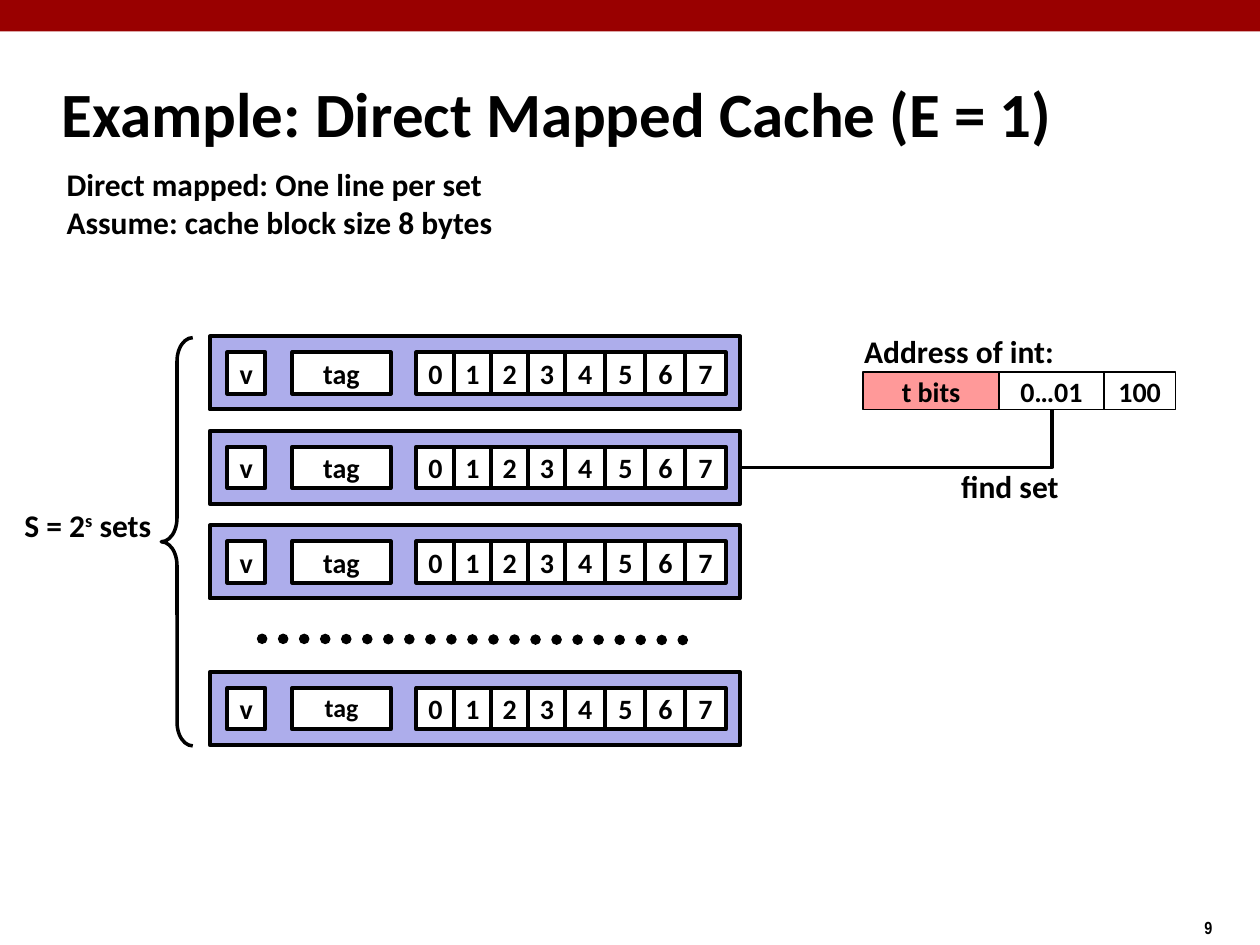
from typing import NamedTuple

from lxml.etree import SubElement
from pptx import Presentation
from pptx.dml.color import RGBColor
from pptx.enum.dml import MSO_LINE
from pptx.enum.shapes import MSO_CONNECTOR, MSO_SHAPE
from pptx.enum.text import MSO_ANCHOR, MSO_AUTO_SIZE, PP_ALIGN
from pptx.oxml.ns import qn
from pptx.util import Inches, Pt

# The slide is a grid of 100 columns by 75 rows; all areas use these units.
WIDTH, HEIGHT = Inches(10), Inches(7.5)
COLUMN, ROW = WIDTH / 100, HEIGHT / 75

BLACK, WHITE = "000000", "FFFFFF"
BANNER_RED, SET_BLUE, TAG_PINK = "990000", "ADADEB", "FF9999"
BODY_FONT, NUMBER_FONT = "Calibri", "Arial Narrow"

SET_LEFT, SET_WIDTH, SET_HEIGHT = 16.65, 42.1, 5.8
FIELD_INSET, FIELD_HEIGHT = 1.25, 3.3


class Area(NamedTuple):
    left: float
    top: float
    width: float
    height: float


class Span(NamedTuple):
    text: str
    superscript: bool = False


class Label(NamedTuple):
    area: Area
    paragraphs: list[list[Span]]
    size: float = 18
    font: str = BODY_FONT


class Field(NamedTuple):
    text: str
    left: float
    width: float
    fill: str = WHITE


class CacheSet(NamedTuple):
    top: float
    tag_size: float = 16
    tag_spacing: float = 1.0


ADDRESS_TOP, ADDRESS_HEIGHT = 29.55, 2.95
ADDRESS_FIELDS = [
    Field("t bits", 68.5, 10.8, TAG_PINK),
    Field("0…01", 79.3, 8.3),
    Field("100", 87.6, 5.7),
]
LINE_FIELDS = [
    Field("v", 18.05, 3),
    Field("tag", 23.2, 7.8),
    *[Field(str(i), 33.05 + 2.95 * i, 3) for i in range(4)],
    *[Field(str(i), 44.85 + 3.18 * (i - 4), 3.2) for i in range(4, 8)],
]
CACHE_SETS = [
    *[CacheSet(26.7 + 7.5 * i) for i in range(3)],
    CacheSet(53.35, 14.8, 0.9),
]
LABELS = [
    Label(Area(4.3, 12.6, 36, 7), [
        [Span("Direct mapped: One line per set")],
        [Span("Assume: cache block size 8 bytes")],
    ]),
    Label(Area(0.95, 39.65, 12.5, 4),
          [[Span("S = 2"), Span("s", True), Span(" sets")]]),
    Label(Area(67.6, 25.85, 17.5, 4), [[Span("Address of int:")]]),
    Label(Area(75.3, 36.6, 10.2, 4), [[Span("find set")]]),
    Label(Area(94.6, 72.3, 7.5, 2.7), [[Span("9")]], 10, NUMBER_FONT),
]


def color(value: str) -> RGBColor:
    return RGBColor.from_string(value)


def across(columns: float) -> int:
    return round(columns * COLUMN)


def down(rows: float) -> int:
    return round(rows * ROW)


def placed(area: Area) -> tuple[int, int, int, int]:
    return (across(area.left), down(area.top),
            across(area.width), down(area.height))


def add_span(para, span: Span, size: float, font: str = BODY_FONT) -> None:
    run = para.add_run()
    run.text = span.text
    run.font.name = font
    run.font.size = Pt(size)
    run.font.bold = True
    run.font.color.rgb = color(BLACK)
    if span.superscript:
        run.font._element.set("baseline", "30000")


def set_insets(frame, inset: float) -> None:
    frame.margin_left = frame.margin_right = Inches(inset)
    frame.margin_top = frame.margin_bottom = Inches(inset)


def add_title(page, text: str) -> None:
    title = page.shapes.title
    title.left, title.top, title.width, title.height = placed(
        Area(3.9, 4.8, 83, 8.3))
    frame = title.text_frame
    frame.auto_size = MSO_AUTO_SIZE.NONE
    frame.vertical_anchor = MSO_ANCHOR.MIDDLE
    set_insets(frame, 0.1)
    para = frame.paragraphs[0]
    para.alignment = PP_ALIGN.LEFT
    add_span(para, Span(text), 36)


def add_label(page, label: Label) -> None:
    box = page.shapes.add_textbox(*placed(label.area))
    frame = box.text_frame
    frame.word_wrap = False
    frame.auto_size = MSO_AUTO_SIZE.SHAPE_TO_FIT_TEXT
    for index, spans in enumerate(label.paragraphs):
        para = frame.add_paragraph() if index else frame.paragraphs[0]
        for span in spans:
            add_span(para, span, label.size, label.font)


def add_block(page, area: Area, fill: str, line_width: float = 0):
    block = page.shapes.add_shape(MSO_SHAPE.RECTANGLE, *placed(area))
    block.shadow.inherit = False
    block.fill.solid()
    block.fill.fore_color.rgb = color(fill)
    if line_width:
        block.line.color.rgb = color(BLACK)
        block.line.width = Pt(line_width)
    else:
        block.line.fill.background()
    return block


def add_field(page, field: Field, top: float, height: float, line_width: float,
              size: float = 16, spacing: float = 1.0) -> None:
    area = Area(field.left, top, field.width, height)
    frame = add_block(page, area, field.fill, line_width).text_frame
    frame.word_wrap = False
    frame.vertical_anchor = MSO_ANCHOR.MIDDLE
    set_insets(frame, 0)
    para = frame.paragraphs[0]
    para.alignment = PP_ALIGN.CENTER
    para.line_spacing = spacing
    add_span(para, Span(field.text), size)


def add_cache_set(page, cache_set: CacheSet) -> None:
    area = Area(SET_LEFT, cache_set.top, SET_WIDTH, SET_HEIGHT)
    add_block(page, area, SET_BLUE, 2.25)
    for field in LINE_FIELDS:
        style = cache_set[1:] if field.text == "tag" else ()
        add_field(page, field, cache_set.top + FIELD_INSET, FIELD_HEIGHT,
                  2.25, *style)


def add_line(page, kind, start: tuple[float, float], end: tuple[float, float],
             line_width: float):
    line = page.shapes.add_connector(kind, across(start[0]), down(start[1]),
                                     across(end[0]), down(end[1]))
    line.line.color.rgb = color(BLACK)
    line.line.width = Pt(line_width)
    SubElement(line._element.spPr, qn("a:effectLst"))
    return line


def add_brace(page) -> None:
    brace = page.shapes.add_shape(MSO_SHAPE.LEFT_BRACE,
                                  *placed(Area(12.8, 26.8, 2.5, 32.4)))
    brace.shadow.inherit = False
    brace.adjustments[0], brace.adjustments[1] = 0.75, 0.5
    brace.fill.background()
    brace.line.color.rgb = color(BLACK)
    brace.line.width = Pt(2)


def main() -> None:
    deck = Presentation()
    deck.slide_width, deck.slide_height = WIDTH, HEIGHT
    page = deck.slides.add_slide(deck.slide_layouts[5])

    add_block(page, Area(0, 0, 100, 2.5), BANNER_RED)
    add_title(page, "Example: Direct Mapped Cache (E = 1)")
    add_brace(page)
    dots = add_line(page, MSO_CONNECTOR.STRAIGHT, (20.8, 50.7), (55, 50.8), 6)
    dots.line.dash_style = MSO_LINE.ROUND_DOT
    dots.line._ln.set("cap", "rnd")

    for field in ADDRESS_FIELDS:
        add_field(page, field, ADDRESS_TOP, ADDRESS_HEIGHT, 1)
    for cache_set in CACHE_SETS:
        add_cache_set(page, cache_set)
    pointer = add_line(page, MSO_CONNECTOR.ELBOW, (58.8, 37.1), (83.5, 32.5), 2)
    pointer._element.spPr.find(qn("a:prstGeom")).set("prst", "bentConnector2")
    for label in LABELS:
        add_label(page, label)

    deck.save("out.pptx")


if __name__ == "__main__":
    main()
